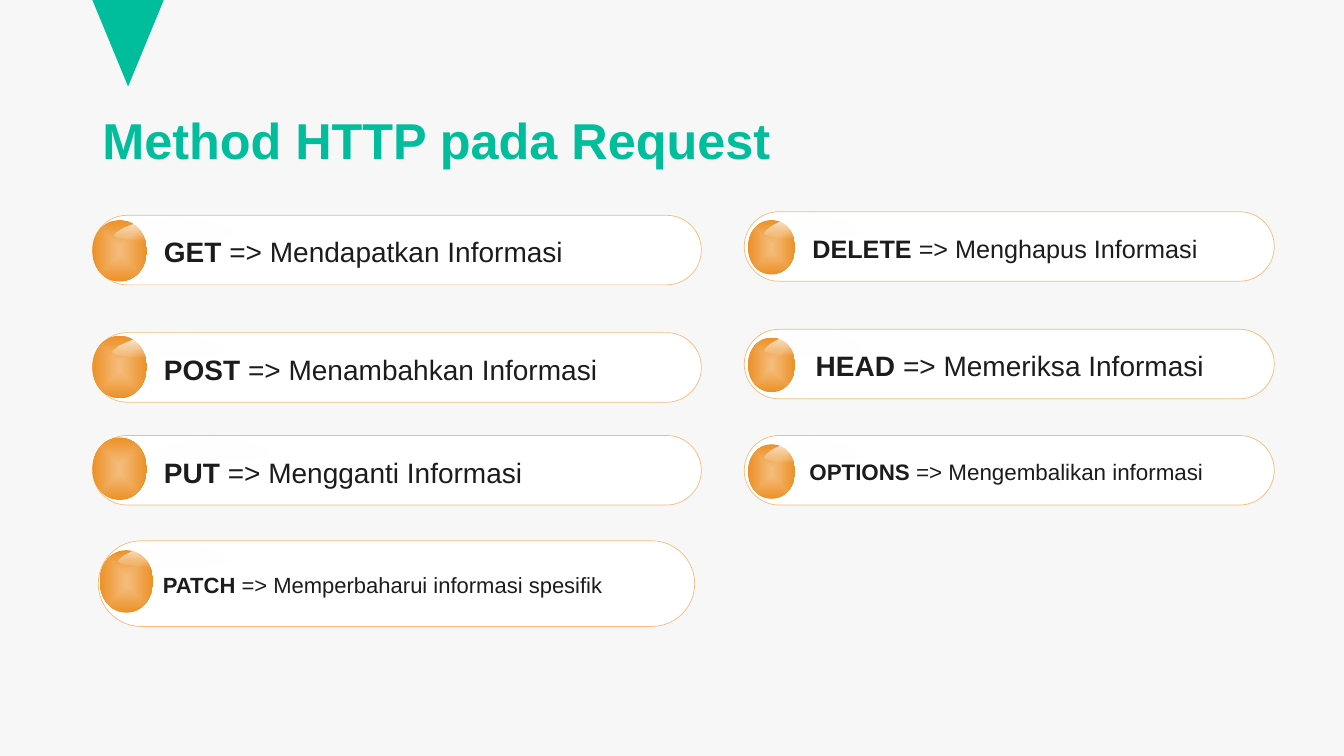
import lxml.etree
import pptx
import pptx.dml.color
import pptx.enum.shapes
import pptx.enum.text
import pptx.oxml.ns
import pptx.util

RGB = pptx.dml.color.RGBColor
KIND = pptx.enum.shapes.MSO_SHAPE
MID = pptx.enum.text.MSO_ANCHOR.MIDDLE
LEFT = pptx.enum.text.PP_ALIGN.LEFT
PALE = RGB(0xF7, 0xF7, 0xF7)
GREEN = RGB(0x00, 0xBE, 0x9C)
WHITE = RGB(0xFF, 0xFF, 0xFF)
PEACH = RGB(0xF4, 0xBD, 0x7D)
AMBER = RGB(0xEC, 0x91, 0x26)
INK = RGB(0x1C, 0x1C, 0x1C)

deck = pptx.Presentation()
deck.slide_width = pptx.util.Inches(13.33)
deck.slide_height = pptx.util.Inches(7.5)
COL = deck.slide_width / 160
ROW = deck.slide_height / 90
slide = deck.slides.add_slide(deck.slide_layouts[6])
slide.background.fill.solid()
slide.background.fill.fore_color.rgb = PALE


def blend(shape, first, last, alpha, way):
    """Give a shape a two-stop gradient and no outline."""
    shape.shadow.inherit = False
    shape.line.fill.background()
    shape.fill.solid()
    solid = shape._element.spPr.find(pptx.oxml.ns.qn("a:solidFill"))
    grad = lxml.etree.fromstring(
        f'<a:gradFill {pptx.oxml.ns.nsdecls("a")} rotWithShape="1"><a:gsLst>'
        f'<a:gs pos="0"><a:srgbClr val="{first}"/></a:gs>'
        f'<a:gs pos="100000"><a:srgbClr val="{last}">'
        f'<a:alpha val="{alpha}"/></a:srgbClr></a:gs></a:gsLst>{way}</a:gradFill>')
    solid.getparent().replace(solid, grad)


def write(para, text, size, bold, color):
    """Add one run of text to a paragraph."""
    run = para.add_run()
    run.text = text
    run.font.name = "Arial"
    run.font.size = pptx.util.Pt(size)
    run.font.bold = bold
    run.font.color.rgb = color


# Corner mark and title
mark = slide.shapes.add_shape(KIND.ISOSCELES_TRIANGLE, int(11 * COL), 0,
                              int(8.5 * COL), int(10.3 * ROW))
mark.rotation = 180
mark.shadow.inherit = False
mark.fill.solid()
mark.fill.fore_color.rgb = GREEN
mark.line.fill.background()

title = slide.shapes.add_textbox(int(11 * COL), int(11.45 * ROW),
                                 int(138 * COL), int(11.3 * ROW))
title.text_frame.word_wrap = True
title.text_frame.vertical_anchor = MID
head = title.text_frame.paragraphs[0]
head.line_spacing = 0.9
write(head, "Method HTTP pada Request", 36, True, GREEN)

# Lanes: pill left and width, ball left and width
WEST = (11, 72.5, 11, 6.5)
LOW = (11.7, 71, 11.85, 6.4)
EAST = (88.6, 63.1, 89.04, 5.64)
# Lane, pill top and height, ball top and height, gloss left, top and width,
# text inset, words, size
ITEMS = [
    (WEST, 25.63, 8.28, 26.2, 7.32, 13.65, 25.92, 14.5, 7.3,
     "GET", "Mendapatkan Informasi", 20),
    (WEST, 39.6, 8.28, 39.98, 7.44, 13.45, 39.84, 13.4, 7.3,
     "POST", "Menambahkan Informasi", 20),
    (WEST, 51.84, 8.28, 52.08, 7.44, 18.7, 52.1, 13.4, 7.3,
     "PUT", "Mengganti Informasi", 20),
    (LOW, 64.38, 10.2, 65.5, 7.44, 14.15, 64.68, 13.1, 6.2,
     "PATCH", "Memperbaharui informasi spesifik", 15.7),
    (EAST, 25.2, 8.28, 26.2, 6.48, 90.96, 25.68, 11.64, 6.9,
     "DELETE", "Menghapus Informasi", 18),
    (EAST, 39.2, 8.28, 40.2, 6.48, 90.96, 39.6, 11.64, 7.3,
     "HEAD", "Memeriksa Informasi", 20),
    (EAST, 51.84, 8.28, 52.9, 6.48, 90.96, 52.32, 11.64, 6.55,
     "OPTIONS", "Mengembalikan informasi", 16),
]
CORE = '<a:path path="shape"><a:fillToRect l="50000" t="50000" r="50000" b="50000"/></a:path>'
SIDE = '<a:lin ang="10800000" scaled="0"/>'
# Gloss outline in percent of its box: start, then three points a curve
START = (0, 50)
CURVES = [[(0, 26), (4, 0), (26, 0)], [(48, 1), (100, 22), (100, 52)],
          [(100, 83), (48, 100), (26, 100)], [(9, 100), (0, 72), START]]
THICK = 2.76

for (lane, top, high, rise, tall, start, sheen, reach, inset,
     verb, task, size) in ITEMS:
    left, wide, edge, span = lane
    group = slide.shapes.add_group_shape().shapes
    pill = group.add_shape(KIND.ROUNDED_RECTANGLE, int(left * COL),
                           int(top * ROW), int(wide * COL), int(high * ROW))
    pill.adjustments[0] = 0.5
    pill.shadow.inherit = False
    pill.fill.solid()
    pill.fill.fore_color.rgb = WHITE
    pill.line.color.rgb = PEACH
    pill.line.width = pptx.util.Pt(0.5)
    frame = pill.text_frame
    frame.word_wrap = True
    frame.vertical_anchor = MID
    frame.margin_left = int(inset * COL)
    frame.margin_right = int(2.9 * COL)
    para = frame.paragraphs[0]
    para.alignment = LEFT
    para.line_spacing = 1.1
    write(para, verb, size, True, INK)
    write(para, f" => {task}", size, False, INK)

    ball = group.add_shape(KIND.OVAL, int(edge * COL), int(rise * ROW),
                           int(span * COL), int(tall * ROW))
    blend(ball, PEACH, AMBER, 100000, CORE)

    # Upright gloss, turned a quarter to lie across the ball
    near = int((start + (reach - THICK) / 2) * COL)
    far = near + int(THICK * COL)
    roof = int((sheen + (THICK - reach) / 2) * ROW)
    floor = roof + int(reach * ROW)
    pen = group.build_freeform(near, roof)
    pen.add_line_segments([(far, roof), (far, floor), (near, floor)], close=True)
    gloss = pen.convert_to_shape()
    route = gloss._element.spPr.find(".//" + pptx.oxml.ns.qn("a:path"))
    for part in list(route):
        route.remove(part)
    route.set("w", "100")
    route.set("h", "100")
    for name, dots in [("moveTo", [START]),
                       *[("cubicBezTo", curve) for curve in CURVES], ("close", [])]:
        part = lxml.etree.SubElement(route, pptx.oxml.ns.qn(f"a:{name}"))
        for x, y in dots:
            lxml.etree.SubElement(part, pptx.oxml.ns.qn("a:pt"), x=str(x), y=str(y))
    gloss.rotation = 270
    blend(gloss, WHITE, WHITE, 0, SIDE)

deck.save("out.pptx")
